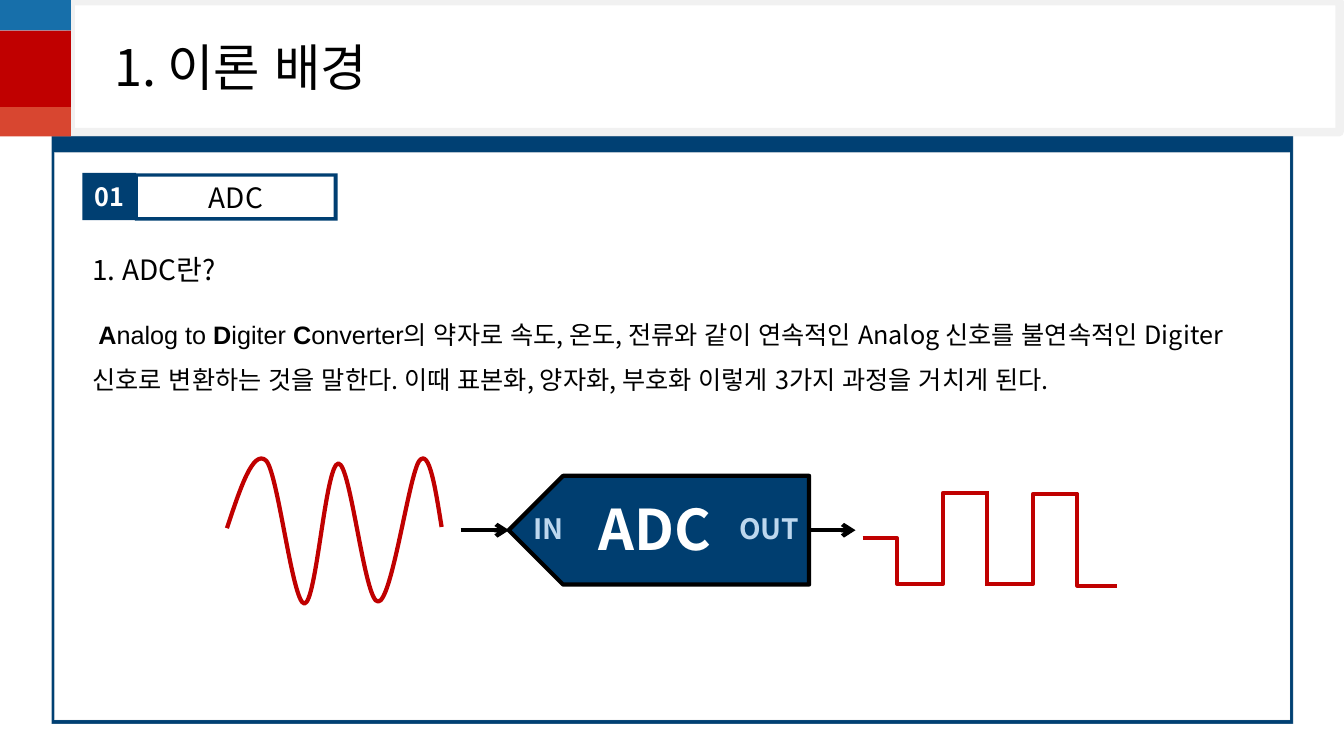
from dataclasses import dataclass
from typing import NamedTuple, Optional

from lxml.etree import SubElement
from pptx import Presentation
from pptx.dml.color import RGBColor
from pptx.enum.lang import MSO_LANGUAGE_ID
from pptx.enum.shapes import MSO_CONNECTOR, MSO_SHAPE
from pptx.enum.text import MSO_ANCHOR, PP_ALIGN
from pptx.oxml.ns import qn
from pptx.util import Cm, Pt


@dataclass(frozen=True)
class Theme:
    sans: str = "Noto Sans CJK KR"
    arial: str = "Arial"
    frame: str = "004073"
    navy: str = "003F72"
    plate: str = "003E70"
    blue: str = "176FAA"
    red: str = "C00000"
    orange: str = "D84630"
    pale: str = "BDD7EE"
    grey: str = "D9D9D9"
    white: str = "FFFFFF"
    black: str = "000000"
    title: int = 36
    block: int = 40
    label: int = 20
    body: int = 18
    stroke: int = 3


T = Theme()


class Rect(NamedTuple):
    x: float
    y: float
    w: float
    h: float


class Run(NamedTuple):
    text: str
    size: int
    color: str = T.black
    bold: bool = False
    font: str = T.sans


class Panel(NamedTuple):
    box: Rect
    fill: str
    kind: MSO_SHAPE = MSO_SHAPE.RECTANGLE
    line: Optional[str] = None
    width: float = 0.25
    alpha: int = 100
    run: Optional[Run] = None
    align: PP_ALIGN = PP_ALIGN.CENTER
    inset: float = 0.25


class Note(NamedTuple):
    box: Rect
    runs: list[Run]
    spacing: float = 1.0
    indent: float = 0


class Wire(NamedTuple):
    x1: float
    y1: float
    x2: float
    y2: float
    color: str = T.red
    kind: MSO_CONNECTOR = MSO_CONNECTOR.ELBOW
    arrow: bool = False


Point = tuple[float, float]


def rgb(color: str) -> RGBColor:
    return RGBColor.from_string(color)


def add_run(p, run: Run) -> None:
    r = p.add_run()
    r.text = run.text
    r.font.name = run.font
    r.font.size = Pt(run.size)
    r.font.bold = run.bold
    r.font.color.rgb = rgb(run.color)
    r.font.language_id = MSO_LANGUAGE_ID.KOREAN
    SubElement(r.font._element, qn("a:ea"), typeface=T.arial)


def add_panel(s, panel: Panel):
    sp = s.shapes.add_shape(panel.kind, *map(Cm, panel.box))
    sp.shadow.inherit = False
    sp.fill.solid()
    sp.fill.fore_color.rgb = rgb(panel.fill)
    if panel.line:
        sp.line.color.rgb = rgb(panel.line)
        sp.line.width = Pt(panel.width)
        if panel.alpha < 100:
            color = sp.line._ln.find(".//" + qn("a:srgbClr"))
            SubElement(color, qn("a:alpha"), val=str(panel.alpha * 1000))
    else:
        sp.line.fill.background()
    if panel.kind == MSO_SHAPE.ROUNDED_RECTANGLE:
        sp.adjustments[0] = 0
    if panel.run:
        tf = sp.text_frame
        tf.word_wrap = True
        tf.vertical_anchor = MSO_ANCHOR.MIDDLE
        tf.margin_left = Cm(panel.inset)
        p = tf.paragraphs[0]
        p.alignment = panel.align
        add_run(p, panel.run)
    return sp


def add_note(s, note: Note) -> None:
    tf = s.shapes.add_textbox(*map(Cm, note.box)).text_frame
    tf.word_wrap = True
    p = tf.paragraphs[0]
    p.line_spacing = note.spacing
    if note.indent:
        p._p.get_or_add_pPr().set("indent", str(Cm(note.indent)))
    for run in note.runs:
        add_run(p, run)


def add_wire(s, wire: Wire) -> None:
    ends = map(Cm, (wire.x1, wire.y1, wire.x2, wire.y2))
    c = s.shapes.add_connector(wire.kind, *ends)
    c.line.color.rgb = rgb(wire.color)
    c.line.width = Pt(T.stroke)
    if wire.arrow:
        SubElement(c.line._ln, qn("a:tailEnd"), type="arrow")
    SubElement(c._element.spPr, qn("a:effectLst"))


def add_wave(s, points: list[Point]) -> None:
    knots = [(Cm(x), Cm(y)) for x, y in points[::3]]
    fb = s.shapes.build_freeform(*knots[0])
    fb.add_line_segments(knots[1:], close=False)
    sp = fb.convert_to_shape()
    outline = sp._element.find(".//" + qn("a:path"))
    for line in outline.findall(qn("a:lnTo")):
        outline.remove(line)
    for i in range(1, len(points), 3):
        curve = SubElement(outline, qn("a:cubicBezTo"))
        for x, y in points[i:i + 3]:
            SubElement(curve, qn("a:pt"), x=str(Cm(x) - sp.left), y=str(Cm(y) - sp.top))
    sp.shadow.inherit = False
    sp.fill.background()
    sp.line.color.rgb = rgb(T.red)
    sp.line.width = Pt(T.stroke)


ROUND = MSO_SHAPE.ROUNDED_RECTANGLE
STRAIGHT = MSO_CONNECTOR.STRAIGHT
PANELS = [
    Panel(Rect(1.3, 3.43, 31.29, 14.81), T.frame, ROUND, T.grey, alpha=43),
    Panel(Rect(1.37, 3.84, 31.14, 14.3), T.white, ROUND, T.grey, alpha=43),
    Panel(Rect(1.78, 0.03, 31.98, 3.3), T.white, line=T.grey, width=6, alpha=35,
          run=Run("1. 이론 배경", T.title), align=PP_ALIGN.LEFT, inset=1.1),
    Panel(Rect(3.4, 4.37, 5.11, 1.19), T.navy),
    Panel(Rect(3.48, 4.45, 4.93, 1.02), T.white, run=Run("ADC", T.label)),
    Panel(Rect(2.08, 4.36, 1.35, 1.19), T.navy,
          run=Run("01", T.body, T.white, True)),
    Panel(Rect(-0.02, -0.02, 1.81, 0.79), T.blue),
    Panel(Rect(-0.02, 0.77, 1.81, 1.93), T.red),
    Panel(Rect(-0.02, 2.7, 1.81, 0.74), T.orange),
]
CONVERTER = Panel(Rect(12.82, 11.99, 7.57, 2.74), T.plate, MSO_SHAPE.PENTAGON,
                  T.black, T.stroke)
ACRONYM = [("A", "nalog to "), ("D", "igiter "), ("C", "onverter의 약자로")]
BODY = [Run(text, T.body, bold=bold, font=T.arial)
        for pair in ACRONYM for text, bold in zip(pair, (True, False))]
BODY.append(Run(" 속도, 온도, 전류와 같이 연속적인 Analog 신호를 불연속적인 Digiter 신호로 "
                "변환하는 것을 말한다. 이때 표본화, 양자화, 부호화 이렇게 3가지 과정을 거치게 된다.",
                T.body))
NOTES = [
    Note(Rect(2.08, 6.25, 16.97, 1.12), [Run("1. ADC란?", T.label)]),
    Note(Rect(2.08, 7.54, 29.49, 2.41), BODY, 1.5, 0.15),
    Note(Rect(14.83, 12.34, 3.61, 1.96), [Run("ADC", T.block, T.white, True)]),
    Note(Rect(13.19, 12.76, 1.8, 1.12), [Run("IN", T.label, T.pale, True)]),
    Note(Rect(18.38, 12.76, 2.21, 1.12), [Run("OUT", T.label, T.pale, True)]),
]
WAVE = [
    (5.72, 13.31), (6.05, 12.32), (6.38, 11.3), (6.71, 11.61),
    (7.01, 11.94), (7.37, 15.19), (7.67, 15.21),
    (7.98, 15.21), (8.2, 11.68), (8.53, 11.68),
    (8.84, 11.68), (9.19, 15.19), (9.53, 15.16),
    (9.88, 15.16), (10.31, 11.94), (10.57, 11.61),
    (10.82, 11.3), (10.97, 12.29), (11.13, 13.28),
]
WIRES = [
    Wire(21.74, 13.56, 23.47, 14.71),
    Wire(22.61, 14.71, 24.92, 12.42),
    Wire(24.89, 14.71, 27.18, 12.45),
    Wire(26.16, 12.45, 28.14, 14.76),
    Wire(24.87, 12.42, 24.87, 14.76, kind=STRAIGHT),
    Wire(11.61, 13.36, 12.83, 13.36, T.black, STRAIGHT, True),
    Wire(20.35, 13.36, 21.56, 13.36, T.black, STRAIGHT, True),
]


def main() -> None:
    prs = Presentation()
    prs.slide_width, prs.slide_height = Cm(33.87), Cm(19.05)
    s = prs.slides.add_slide(prs.slide_layouts[6])
    for panel in PANELS:
        add_panel(s, panel)
    add_panel(s, CONVERTER).rotation = 180
    add_wave(s, WAVE)
    for wire in WIRES:
        add_wire(s, wire)
    for note in NOTES:
        add_note(s, note)
    prs.save("out.pptx")


if __name__ == "__main__":
    main()
